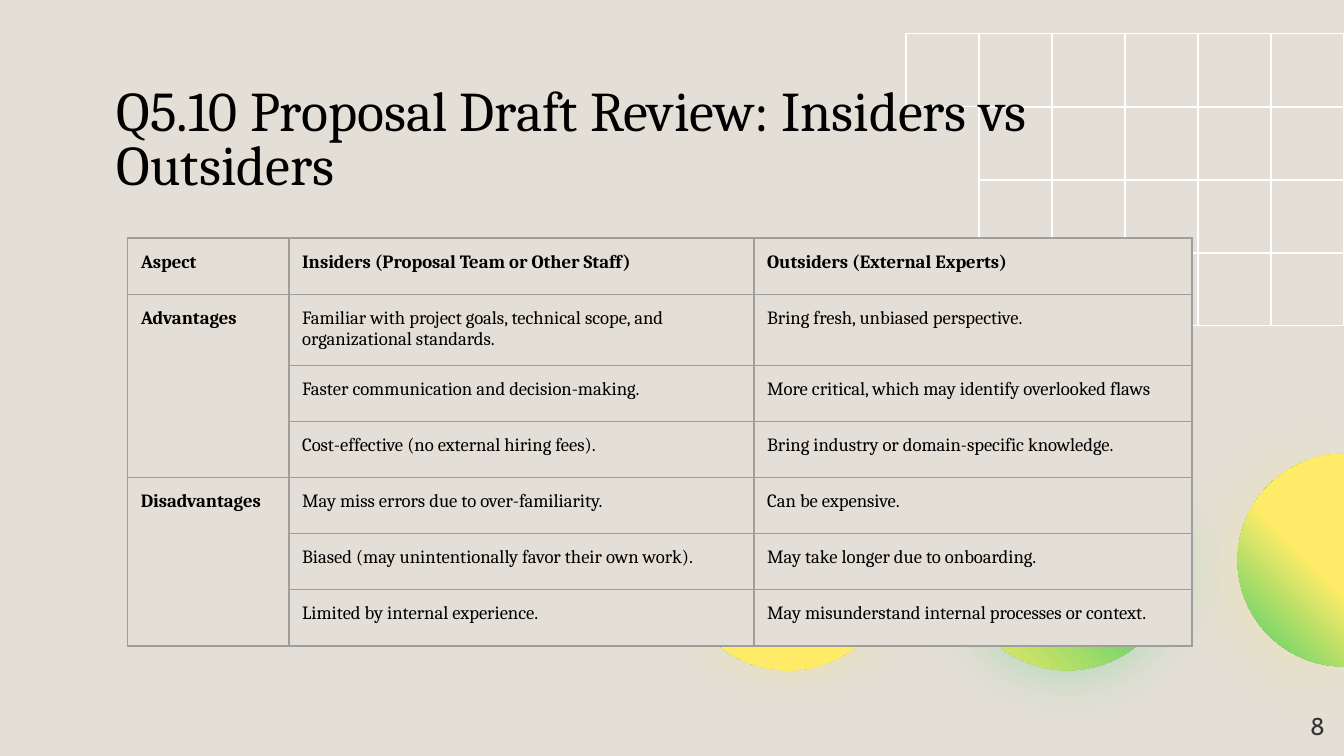
from math import cos, pi, sin

from lxml import etree
from pptx import Presentation
from pptx.dml.color import RGBColor
from pptx.enum.shapes import MSO_SHAPE
from pptx.enum.text import MSO_ANCHOR, PP_ALIGN
from pptx.oxml.ns import qn
from pptx.util import Cm, Pt

RECTANGLE, OVAL = MSO_SHAPE.RECTANGLE, MSO_SHAPE.OVAL
LEFT, RIGHT = PP_ALIGN.LEFT, PP_ALIGN.RIGHT
TOP, MIDDLE = MSO_ANCHOR.TOP, MSO_ANCHOR.MIDDLE

PAPER, WHITE, BLACK, GREY, CHARCOAL = "E3DFD6", "FFFFFF", "000000", "9E9E9E", "353535"
GREEN, YELLOW = "41CC6B", "FFEB67"
MOSTLY_YELLOW = [(0, GREEN), (56, YELLOW), (100, YELLOW)]
MOSTLY_GREEN = [(0, GREEN), (35, GREEN), (100, YELLOW)]
INSET = Cm(0.25)

HEADINGS = ["Aspect", "Insiders (Proposal Team or Other Staff)", "Outsiders (External Experts)"]
ASPECTS = {
    "Advantages": [
        ("Familiar with project goals, technical scope, and organizational standards.",
         "Bring fresh, unbiased perspective."),
        ("Faster communication and decision-making.",
         "More critical, which may identify overlooked flaws"),
        ("Cost-effective (no external hiring fees).",
         "Bring industry or domain-specific knowledge."),
    ],
    "Disadvantages": [
        ("May miss errors due to over-familiarity.", "Can be expensive."),
        ("Biased (may unintentionally favor their own work).",
         "May take longer due to onboarding."),
        ("Limited by internal experience.",
         "May misunderstand internal processes or context."),
    ],
}


def color(hex_code):
    """Turn a hex string into a colour."""
    return RGBColor.from_string(hex_code)


def add_xml(parent, tag, **attributes):
    """Append a DrawingML element and return it."""
    return etree.SubElement(parent, qn(tag), {k: str(v) for k, v in attributes.items()})


def write(frame, text, size=10, font="Cambria", ink=BLACK, bold=False, align=LEFT, spacing=1.0):
    """Write one formatted paragraph into a text frame."""
    frame.word_wrap = True
    paragraph = frame.paragraphs[0]
    paragraph.alignment, paragraph.line_spacing = align, spacing
    run = paragraph.add_run()
    run.text = text
    run.font.size, run.font.name, run.font.bold = Pt(size), font, bold
    run.font.color.rgb = color(ink)


def add_label(slide, box, text, anchor=TOP, **style):
    """Add a text box that fills the given box."""
    frame = slide.shapes.add_textbox(*map(Cm, box)).text_frame
    frame.margin_left = frame.margin_right = frame.margin_top = frame.margin_bottom = INSET
    frame.vertical_anchor = anchor
    write(frame, text, **style)


def draw_grid(slide, left, top, side, columns, rows):
    """Draw outlined squares, with one more to the left of the first row."""
    places = [(column, row) for row in range(rows) for column in range(columns)]
    for column, row in places + [(-1, 0)]:
        square = slide.shapes.add_shape(
            RECTANGLE, Cm(left + column * side), Cm(top + row * side), Cm(side), Cm(side))
        square.shadow.inherit = False
        square.fill.background()
        square.line.color.rgb = color(WHITE)
        square.line.width = Pt(0.75)


def paint_ball(ball, stops, angle, glow, alpha, blur, distance, direction):
    """Give a ball its gradient and its coloured soft shadow."""
    ball.line.fill.background()
    ball.fill.gradient()
    ball.fill.gradient_angle = 360 - angle
    properties = ball._element.spPr
    stop_list = properties.find(".//" + qn("a:gsLst"))
    for stop in list(stop_list):
        stop_list.remove(stop)
    for position, tint in stops:
        add_xml(add_xml(stop_list, "a:gs", pos=position * 1000), "a:srgbClr", val=tint)
    ball.shadow.inherit = False
    shadow = add_xml(properties.find(qn("a:effectLst")), "a:outerShdw", blurRad=Pt(blur),
                     dist=Pt(distance), dir=direction * 60000, algn="bl", rotWithShape=0)
    add_xml(add_xml(shadow, "a:srgbClr", val=glow), "a:alpha", val=alpha * 1000)


def draw_half_ball(slide, right, middle, radius, steps=48):
    """Draw the left half of a ball against the right edge."""
    arc = [(Cm(right - radius * sin(pi * i / steps)), Cm(middle - radius * cos(pi * i / steps)))
           for i in range(steps + 1)]
    outline = slide.shapes.build_freeform(*arc[0])
    outline.add_line_segments(arc[1:], close=True)
    paint_ball(outline.convert_to_shape(), MOSTLY_YELLOW, 315, YELLOW, 27, 38.2, 6, 130)


def draw_balls(slide, left, top, diameter, pitch):
    """Draw the two whole balls side by side."""
    first, second = [slide.shapes.add_shape(OVAL, Cm(left + i * pitch), Cm(top),
                                            Cm(diameter), Cm(diameter)) for i in range(2)]
    first.rotation = 270
    paint_ball(first, MOSTLY_YELLOW, 225, YELLOW, 28, 25.9, 2.2, 45)
    paint_ball(second, MOSTLY_GREEN, 135, GREEN, 30, 27, 3, 90)


def style_cell(cell):
    """Give a cell its margins, fill and four borders."""
    cell.margin_left = cell.margin_right = cell.margin_top = cell.margin_bottom = INSET
    cell.vertical_anchor = TOP
    properties = cell._tc.get_or_add_tcPr()
    for side in ("a:lnL", "a:lnR", "a:lnT", "a:lnB"):
        border = add_xml(properties, side, w=Pt(0.75))
        add_xml(add_xml(border, "a:solidFill"), "a:srgbClr", val=GREY)
    cell.fill.solid()
    cell.fill.fore_color.rgb = color(PAPER)


def build_comparison(slide, left, top, widths, row_height):
    """Build the table of insiders against outsiders."""
    row_count = 1 + sum(map(len, ASPECTS.values()))
    table = slide.shapes.add_table(row_count, len(widths), Cm(left), Cm(top),
                                   Cm(sum(widths)), Cm(row_height * row_count)).table
    table.first_row = table.horz_banding = False
    for column, width in zip(table.columns, widths):
        column.width = Cm(width)
    for cell in table.iter_cells():
        style_cell(cell)
    for column, heading in enumerate(HEADINGS):
        write(table.cell(0, column).text_frame, heading, bold=True)
    row = 1
    for aspect, points in ASPECTS.items():
        table.cell(row, 0).merge(table.cell(row + len(points) - 1, 0))
        write(table.cell(row, 0).text_frame, aspect, bold=True)
        for insider, outsider in points:
            write(table.cell(row, 1).text_frame, insider)
            write(table.cell(row, 2).text_frame, outsider)
            row += 1


def main():
    """Build the slide and save it."""
    deck = Presentation()
    deck.slide_width, deck.slide_height = Cm(25.4), Cm(14.29)
    slide = deck.slides.add_slide(deck.slide_layouts[6])
    slide.background.fill.solid()
    slide.background.fill.fore_color.rgb = color(PAPER)
    draw_grid(slide, left=18.5, top=0.64, side=1.38, columns=5, rows=4)
    draw_half_ball(slide, right=25.4, middle=10.59, radius=2.01)
    draw_balls(slide, left=12.83, top=8.53, diameter=4.14, pitch=5.28)
    add_label(slide, (1.96, 1.42, 20.85, 2.64),
              "Q5.10 Proposal Draft Review: Insiders vs Outsiders", size=30, spacing=0.8)
    build_comparison(slide, left=2.41, top=4.5, widths=[3.05, 8.79, 8.28], row_height=1.06)
    add_label(slide, (23.77, 13.18, 1.52, 1.09), "8", anchor=MIDDLE,
              size=13, font="Cabin", ink=CHARCOAL, align=RIGHT)
    deck.save("out.pptx")


if __name__ == "__main__":
    main()
